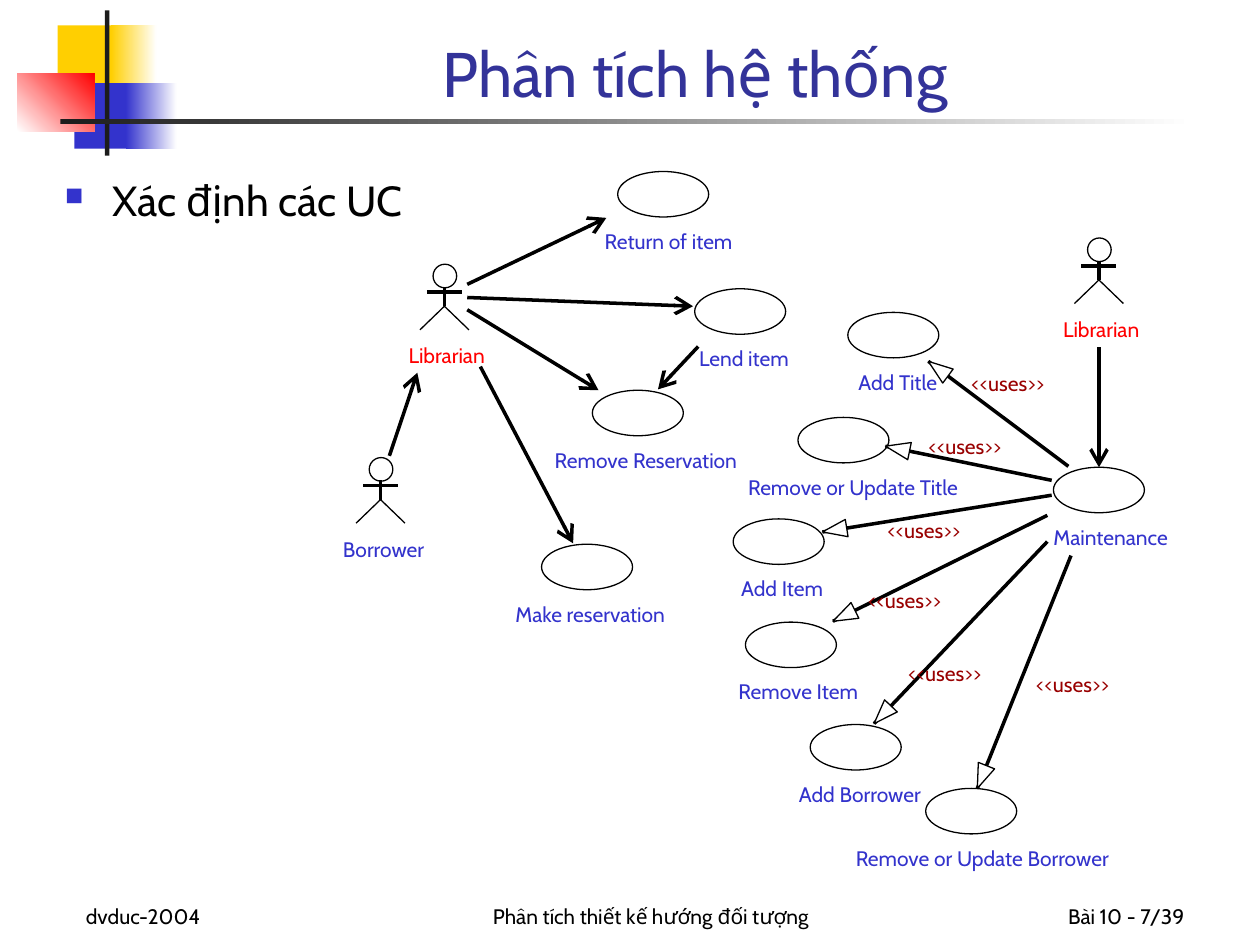
from math import hypot
from lxml import etree
from pptx import Presentation
from pptx import util as u
from pptx.dml.color import RGBColor
from pptx.enum import shapes, text
from pptx.oxml import ns

BLACK, WHITE, BLUE, RED, MAROON = "000000", "FFFFFF", "3333CC", "FF0000", "990000"
USE_CASE_W, USE_CASE_H = 52, 26
LABEL_DROP, LABEL_H = 32.5, 14.5

BACKDROP = [
    (33, 14.5, 34.5, 37.5, ["FFCF01"], 0),
    (63.5, 14.5, 26, 37.5, ["FFCF01", WHITE], 0),
    (42.5, 47.5, 33, 37.5, [BLUE], 0),
    (72, 47.5, 29, 37.5, [BLUE, WHITE], 0),
    (10, 42, 44, 33, [WHITE, RED], 45),
    (60, 6, 2.5, 83, ["1C1C1C"], 0),
    (34.5, 68.25, 648, 2.5, ["1C1C1C", WHITE], 0),
]
FOOTERS = [
    (42, 150, "dvduc-2004", text.PP_ALIGN.LEFT),
    (234, 276, "Phân tích thiết kế hướng đối tượng", text.PP_ALIGN.CENTER),
    (534, 150, "Bài 10 - 7/39", text.PP_ALIGN.RIGHT),
]
USE_CASES = [
    ("Remove or Update Title", 456, 238.5, 427.5, 132.5),
    ("Add Title", 484.5, 178.5, 490.5, 49.5),
    ("Add Item", 419, 296.5, 423.5, 52),
    ("Maintenance", 602, 267, 602, 73.5),
    ("Add Borrower", 463, 414, 456.5, 79),
    ("Remove or Update Borrower", 529, 450.5, 489, 162),
    ("Remove Item", 426, 355.5, 422, 75),
    ("Return of item", 353, 98, 345.5, 81.5),
    ("Make reservation", 309.5, 311, 294.5, 98),
    ("Remove Reservation", 338.5, 223, 317, 115),
    ("Lend item", 397, 165, 399.5, 56),
]
ACTORS = [
    ("Librarian", 628, 136, 607.5, 50.5, RED),
    ("Borrower", 217.5, 261.5, 196, 53.5, BLUE),
    ("Librarian", 254, 151, 233.5, 50.5, RED),
]
ASSOCIATIONS = [
    ((222.5, 260.5), (238.5, 213)),
    ((267, 162.5), (346.5, 124.5)),
    ((274.5, 209.5), (327.5, 310.5)),
    ((267, 177), (342, 223)),
    ((267, 170), (396, 175)),
    ((399, 198), (376, 222.5)),
]
USES = [
    ((610.5, 266.5), (530.5, 206.5), (555, 211.5)),
    ((601, 274.5), (506, 255), (530.5, 247.5)),
    ((601, 283), (470, 304), (507, 296)),
    ((598.5, 309.5), (499.5, 413.5), (519, 377.5)),
    ((612, 317.5), (558.5, 450.5), (592, 384)),
    ((598.5, 294.5), (476, 355), (496, 335.5)),
]


def color(value):
    return RGBColor.from_string(value)


def box(left, top, width, height):
    return [u.Pt(v) for v in (left, top, width, height)]


def outline(shape, fill=None):
    shape.shadow.inherit = False
    if fill:
        shape.fill.solid()
        shape.fill.fore_color.rgb = color(fill)
    else:
        shape.fill.background()
    shape.line.color.rgb = color(BLACK)
    shape.line.width = u.Pt(0)


def add_block(slide, left, top, width, height, colors, angle):
    block = slide.shapes.add_shape(shapes.MSO_SHAPE.RECTANGLE, *box(left, top, width, height))
    block.shadow.inherit = False
    block.line.fill.background()
    if len(colors) == 1:
        block.fill.solid()
        block.fill.fore_color.rgb = color(colors[0])
    else:
        block.fill.gradient()
        block.fill.gradient_angle = angle
        for stop, value in zip(block.fill.gradient_stops, colors):
            stop.color.rgb = color(value)


def add_text(slide, area, words, size, ink, align=text.PP_ALIGN.LEFT, anchor=text.MSO_ANCHOR.TOP):
    frame = slide.shapes.add_textbox(*box(*area)).text_frame
    frame.word_wrap = True
    frame.vertical_anchor = anchor
    paragraph = frame.paragraphs[0]
    paragraph.alignment = align
    run = paragraph.add_run()
    run.text = words
    run.font.size = u.Pt(size)
    run.font.name = "Cabin"
    run.font.color.rgb = color(ink)
    return frame


def add_label(slide, left, top, width, words, ink):
    frame = add_text(slide, (left, top, width, LABEL_H), words, 12, ink)
    frame.margin_left = frame.margin_top = frame.margin_right = frame.margin_bottom = 0
    frame.word_wrap = False
    frame.auto_size = text.MSO_AUTO_SIZE.SHAPE_TO_FIT_TEXT


def add_bullet(paragraph):
    props = paragraph._p.get_or_add_pPr()
    props.set("marL", str(u.Pt(27)))
    props.set("indent", str(u.Pt(-27)))
    tint = etree.SubElement(props, ns.qn("a:buClr"))
    etree.SubElement(tint, ns.qn("a:srgbClr"), val=BLUE)
    etree.SubElement(props, ns.qn("a:buSzPct"), val="60000")
    etree.SubElement(props, ns.qn("a:buChar"), char="■")


def add_line(slide, start, end, arrow=False):
    ends = [u.Pt(v) for v in (*start, *end)]
    line = slide.shapes.add_connector(shapes.MSO_CONNECTOR.STRAIGHT, *ends)
    line.line.color.rgb = color(BLACK)
    line.line.width = u.Pt(0)
    if arrow:
        etree.SubElement(line.line._get_or_add_ln(), ns.qn("a:tailEnd"),
                         type="arrow", w="lg", len="lg")
    etree.SubElement(line._element.spPr, ns.qn("a:effectLst"))
    return line


def add_path(slide, points, close, fill=None):
    (x, y), *rest = [(u.Pt(px), u.Pt(py)) for px, py in points]
    builder = slide.shapes.build_freeform(x, y)
    builder.add_line_segments(rest, close=close)
    outline(builder.convert_to_shape(), fill)


def add_use_case(slide, words, left, top, label_left, label_width):
    oval = slide.shapes.add_shape(shapes.MSO_SHAPE.OVAL, *box(left, top, USE_CASE_W, USE_CASE_H))
    outline(oval, WHITE)
    add_label(slide, label_left, top + LABEL_DROP, label_width, words, BLUE)
    return oval


def add_actor(slide, words, center, top, label_left, label_width, ink):
    head = slide.shapes.add_shape(shapes.MSO_SHAPE.OVAL, *box(center - 6.5, top, 13.5, 13.5))
    outline(head)
    add_line(slide, (center, top + 13), (center, top + 24))
    add_line(slide, (center - 10, top + 16), (center + 10, top + 16))
    legs = [(center - 14, top + 37.5), (center, top + 24), (center + 14, top + 37.5)]
    add_path(slide, legs, close=False)
    add_label(slide, label_left, top + 45, label_width, words, ink)


def add_uses(slide, start, tip, label):
    add_line(slide, start, tip)
    dx, dy = start[0] - tip[0], start[1] - tip[1]
    length = hypot(dx, dy)
    dx, dy = dx / length, dy / length
    base_x, base_y = tip[0] + 14 * dx, tip[1] + 14 * dy
    head = [tip, (base_x - 5 * dy, base_y + 5 * dx), (base_x + 5 * dy, base_y - 5 * dx)]
    add_path(slide, head, close=True, fill=WHITE)
    add_label(slide, *label, 53.5, "<<uses>>", MAROON)


def main():
    deck = Presentation()
    deck.slide_width, deck.slide_height = u.Pt(720), u.Pt(540)
    slide = deck.slides.add_slide(deck.slide_layouts[6])
    for block in BACKDROP:
        add_block(slide, *block)
    for left, width, words, align in FOOTERS:
        add_text(slide, (left, 498, width, 36), words, 12, BLACK, align, text.MSO_ANCHOR.BOTTOM)
    add_text(slide, (90.5, 6, 613.5, 60.5), "Phân tích hệ thống", 36, "333399",
             text.PP_ALIGN.CENTER, text.MSO_ANCHOR.BOTTOM)
    body = add_text(slide, (30, 96, 354, 414), "Xác định các UC", 24, BLACK)
    add_bullet(body.paragraphs[0])
    ovals = {case[0]: add_use_case(slide, *case) for case in USE_CASES}
    for actor in ACTORS:
        add_actor(slide, *actor)
    for start, end in ASSOCIATIONS:
        add_line(slide, start, end, arrow=True)
    upkeep = add_line(slide, (628, 198.5), (628, 267), arrow=True)
    upkeep.end_connect(ovals["Maintenance"], 0)
    for link in USES:
        add_uses(slide, *link)
    deck.save("out.pptx")


if __name__ == "__main__":
    main()
